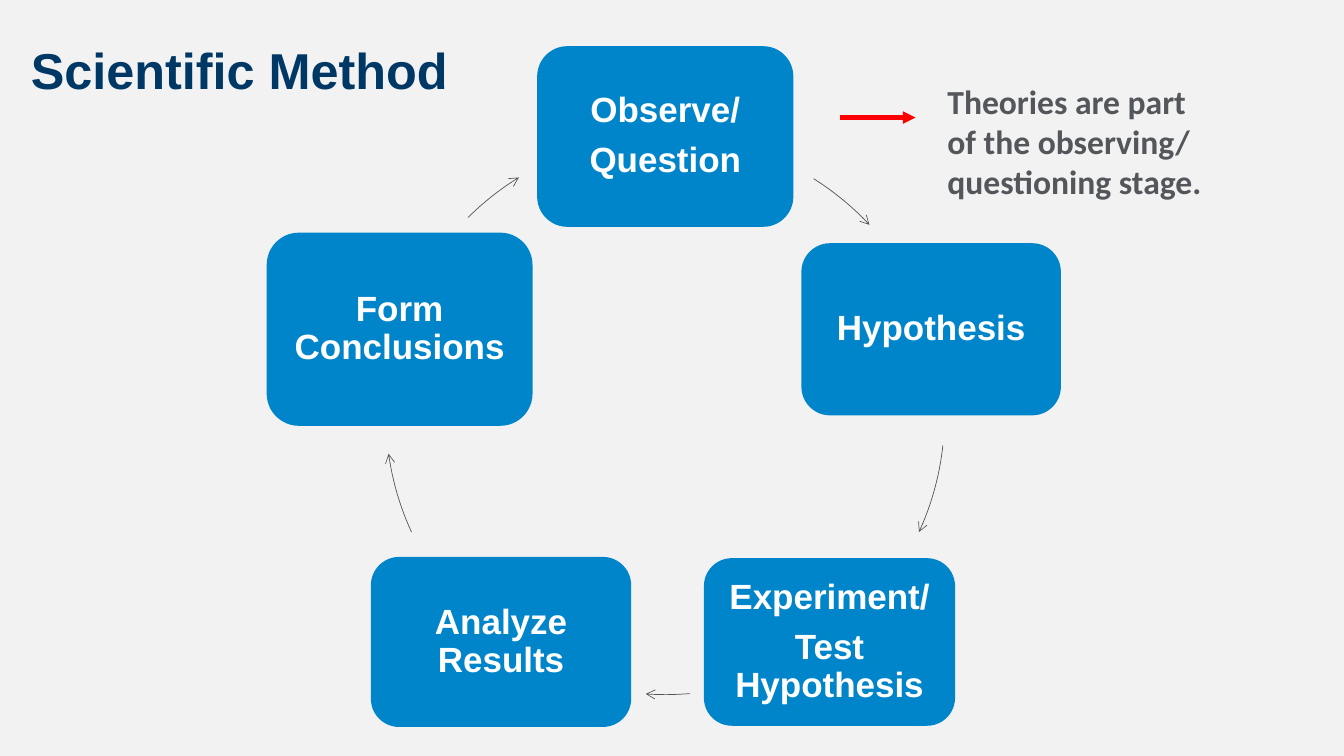
from dataclasses import dataclass
from math import cos, radians, sin

from lxml.etree import SubElement
from pptx import Presentation
from pptx.dml.color import RGBColor
from pptx.enum.shapes import MSO_CONNECTOR as CONN, MSO_SHAPE as SHAPE
from pptx.enum.text import MSO_ANCHOR as ANCHOR, PP_ALIGN as ALIGN
from pptx.oxml.ns import qn
from pptx.util import Inches, Pt

COLS, ROWS = 160, 90
BLUE, NAVY, GREY, RED = "0085CA", "003865", "53565A", "FF0000"
WHITE, PALE = "FFFFFF", "F2F2F2"
CENTRE_COL, CENTRE_ROW, RADIUS = 79.2, 49.45, 33.25


@dataclass
class Area:
    col: float
    row: float
    cols: float
    rows: float


@dataclass
class Stage:
    lines: list[str]
    area: Area
    arc: tuple[float, float]  # degrees clockwise from the right, to the next stage


STAGES = [
    Stage(["Observe/", "Question"], Area(63.95, 5.5, 30.5, 21.5), (-57.9, -43)),
    Stage(["Hypothesis"], Area(95.4, 28.95, 30.9, 20.5), (6.2, 24.7)),
    Stage(["Experiment/", "Test Hypothesis"], Area(83.8, 66.45, 29.9, 19.95), (85, 94)),
    Stage(["Analyze Results"], Area(44.15, 66.3, 31, 20.25), (155.3, 172.1)),
    Stage(["Form Conclusions"], Area(31.75, 27.7, 31.65, 23), (225.1, 238.4)),
]

prs = Presentation()
prs.slide_width, prs.slide_height = Inches(13.33), Inches(7.5)
s = prs.slides.add_slide(prs.slide_layouts[6])


def x(cols: float) -> int:
    return round(prs.slide_width * cols / COLS)


def y(rows: float) -> int:
    return round(prs.slide_height * rows / ROWS)


def box(a: Area) -> tuple[int, int, int, int]:
    return x(a.col), y(a.row), x(a.cols), y(a.rows)


def on_ring(dx: float, dy: float) -> tuple[int, int]:
    return x(CENTRE_COL + RADIUS * dx), y(CENTRE_ROW + RADIUS * dy)


def rgb(colour: str) -> RGBColor:
    return RGBColor.from_string(colour)


def write(tf, lines: list[str], font: str, size: float, colour: str,
          align=ALIGN.LEFT, spacing: float = 1, after: float = 0) -> None:
    tf.word_wrap = True
    for i, line in enumerate(lines):
        p = tf.paragraphs[0] if i == 0 else tf.add_paragraph()
        p.text = line
        p.alignment, p.line_spacing, p.space_after = align, spacing, Pt(after)
        p.font.name, p.font.size, p.font.bold = font, Pt(size), True
        p.font.color.rgb = rgb(colour)


def style_arrow(sp, colour: str, width: float, head: str) -> None:
    sp.line.color.rgb = rgb(colour)
    sp.line.width = Pt(width)
    SubElement(sp.line._get_or_add_ln(), qn("a:tailEnd"), type=head)


def add_stage(stage: Stage) -> None:
    sp = s.shapes.add_shape(SHAPE.ROUNDED_RECTANGLE, *box(stage.area))
    sp.shadow.inherit = False
    sp.fill.solid()
    sp.fill.fore_color.rgb = rgb(BLUE)
    sp.line.fill.background()
    tf = sp.text_frame
    tf.vertical_anchor = ANCHOR.MIDDLE
    tf.margin_left = tf.margin_right = tf.margin_top = tf.margin_bottom = Inches(0.1)
    write(tf, stage.lines, "Arial", 25, WHITE, ALIGN.CENTER, 0.9, 8.75)


def add_arc(start: float, end: float, steps: int = 12) -> None:
    angles = [radians(start + (end - start) * i / steps) for i in range(steps + 1)]
    points = [on_ring(cos(a), sin(a)) for a in angles]
    # Two corner moves stretch the frame over the whole ring, then go
    builder = s.shapes.build_freeform(*on_ring(-1, -1))
    builder.move_to(*on_ring(1, 1))
    builder.move_to(*points[0])
    builder.add_line_segments(points[1:], close=False)
    sp = builder.convert_to_shape()
    outline = next(sp._element.iter(qn("a:path")))
    for corner in outline.findall(qn("a:moveTo"))[:2]:
        outline.remove(corner)
    sp.shadow.inherit = False
    sp.fill.background()
    style_arrow(sp, GREY, 0.5, "arrow")


# Background and title
s.background.fill.solid()
s.background.fill.fore_color.rgb = rgb(PALE)
title = s.shapes.add_textbox(*box(Area(2.3, -4.8, 52.4, 17.4))).text_frame
title.vertical_anchor = ANCHOR.BOTTOM
write(title, ["Scientific Method"], "Arial", 36, NAVY, ALIGN.CENTER, 0.9)

# Cycle of stages
for stage in STAGES:
    add_stage(stage)
    add_arc(*stage.arc)

# Note on theories
pointer = s.shapes.add_connector(CONN.STRAIGHT, x(100), y(14), x(109), y(14))
style_arrow(pointer, RED, 3, "triangle")
SubElement(pointer._element.spPr, qn("a:effectLst"))
note = s.shapes.add_textbox(*box(Area(111.6, 9, 34.7, 15.7))).text_frame
write(note, ["Theories are part of the observing/ questioning stage."],
      "Calibri", 24, GREY)

prs.save("out.pptx")
